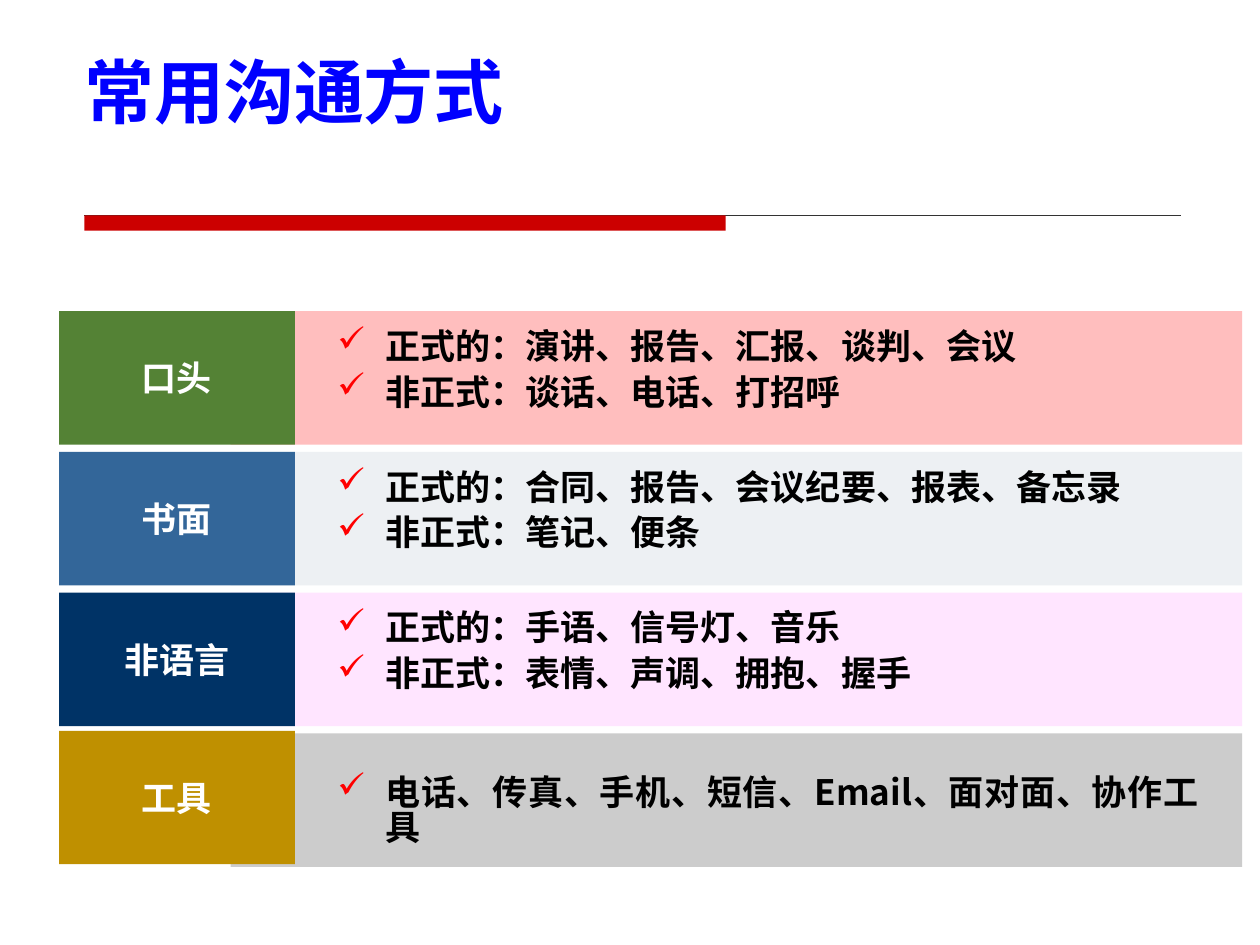
from pptx import Presentation
from pptx.dml.color import RGBColor
from pptx.enum.shapes import MSO_CONNECTOR as CONN, MSO_SHAPE as SHAPE
from pptx.enum.text import MSO_ANCHOR as ANCHOR, PP_ALIGN as ALIGN
from pptx.oxml.ns import qn
from pptx.util import Inches, Pt
from lxml.etree import SubElement

# Content: label, label colour, panel colour, panel opacity %, points
TITLE = "常用沟通方式"
ROWS = [
    ("口头", "548235", "FFBEBE", 100,
     ["正式的：演讲、报告、汇报、谈判、会议", "非正式：谈话、电话、打招呼"]),
    ("书面", "336699", "EDF0F3", 100,
     ["正式的：合同、报告、会议纪要、报表、备忘录", "非正式：笔记、便条"]),
    ("非语言", "003366", "FFCCFF", 50,
     ["正式的：手语、信号灯、音乐", "非正式：表情、声调、拥抱、握手"]),
    ("工具", "BF9000", "CCCCCC", 100,
     ["电话、传真、手机、短信、Email、面对面、协作工具"]),
]
THEME = dict(font="Noto Sans CJK SC", title="0000FF", bar="CC0000",
             rule="333333", label="FFFFFF", body="000000", check="FF0000",
             title_size=40, body_size=20)

# Row geometry in inches
TOP, LAST_TOP, ROW_H = 2.47, 5.82, 1.06
PITCH = (LAST_TOP - TOP) / (len(ROWS) - 1)
LABEL_X, LABEL_W = 0.47, 1.87
PANEL_X, PANEL_W = 1.83, 8.03
TEXT_X, TEXT_W = 2.58, 7.03

prs = Presentation()
prs.slide_width, prs.slide_height = Inches(10), Inches(7.5)
s = prs.slides.add_slide(prs.slide_layouts[6])


def style(p, size, color):
    for r in p.runs:
        f = r.font
        f.name, f.size, f.bold = THEME["font"], Pt(size), True
        f.color.rgb = RGBColor.from_string(color)
        SubElement(r._r.get_or_add_rPr(), qn("a:ea"), typeface=THEME["font"])


def add_rect(x, y, w, h, color, opacity=100):
    sp = s.shapes.add_shape(SHAPE.RECTANGLE, *map(Inches, (x, y, w, h)))
    sp.shadow.inherit = False
    sp.line.fill.background()
    sp.fill.solid()
    sp.fill.fore_color.rgb = RGBColor.from_string(color)
    if opacity < 100:
        clr = sp._element.spPr.find(qn("a:solidFill")).find(qn("a:srgbClr"))
        SubElement(clr, qn("a:alpha"), val=str(opacity * 1000))
    return sp


def add_text(x, y, w, h):
    tf = s.shapes.add_textbox(*map(Inches, (x, y, w, h))).text_frame
    tf.word_wrap = True
    return tf


def add_check(p):
    pPr = p._p.get_or_add_pPr()
    pPr.set("marL", str(Inches(0.38)))
    pPr.set("indent", str(-Inches(0.38)))
    SubElement(SubElement(pPr, qn("a:buClr")), qn("a:srgbClr"),
               val=THEME["check"])
    SubElement(pPr, qn("a:buChar"), char="✓")


# Title
tf = add_text(0.57, 0.35, 8.42, 0.73)
tf.vertical_anchor = ANCHOR.MIDDLE
tf.text = TITLE
style(tf.paragraphs[0], THEME["title_size"], THEME["title"])

# Divider: thin rule with a thick bar at its left
rule = s.shapes.add_connector(CONN.STRAIGHT, Inches(0.67), Inches(1.71),
                              Inches(9.37), Inches(1.71))
rule.line.color.rgb = RGBColor.from_string(THEME["rule"])
rule.line.width = Pt(0.75)
SubElement(rule._element.spPr, qn("a:effectLst"))
add_rect(0.67, 1.71, 5.09, 0.12, THEME["bar"])

# Rows: panel, label, checked points
for i, (label, label_color, panel_color, opacity, points) in enumerate(ROWS):
    y = TOP + i * PITCH
    last = i == len(ROWS) - 1
    add_rect(PANEL_X, y, PANEL_W, ROW_H, panel_color, opacity)

    sp = add_rect(LABEL_X, y - 0.02 * last, LABEL_W, ROW_H, label_color)
    tf = sp.text_frame
    tf.word_wrap = False
    tf.vertical_anchor = ANCHOR.MIDDLE
    tf.text = label
    tf.paragraphs[0].alignment = ALIGN.CENTER
    style(tf.paragraphs[0], THEME["body_size"], THEME["label"])

    tf = add_text(TEXT_X, y + (0.3 if last else 0.11), TEXT_W,
                  0.77 if last else 0.86)
    tf.text = "\n".join(points)
    for n, p in enumerate(tf.paragraphs):
        add_check(p)
        p.alignment = ALIGN.JUSTIFY
        p.line_spacing = 0.84
        p.space_before = Pt(6 if n else 0)
        style(p, THEME["body_size"], THEME["body"])

prs.save("out.pptx")
